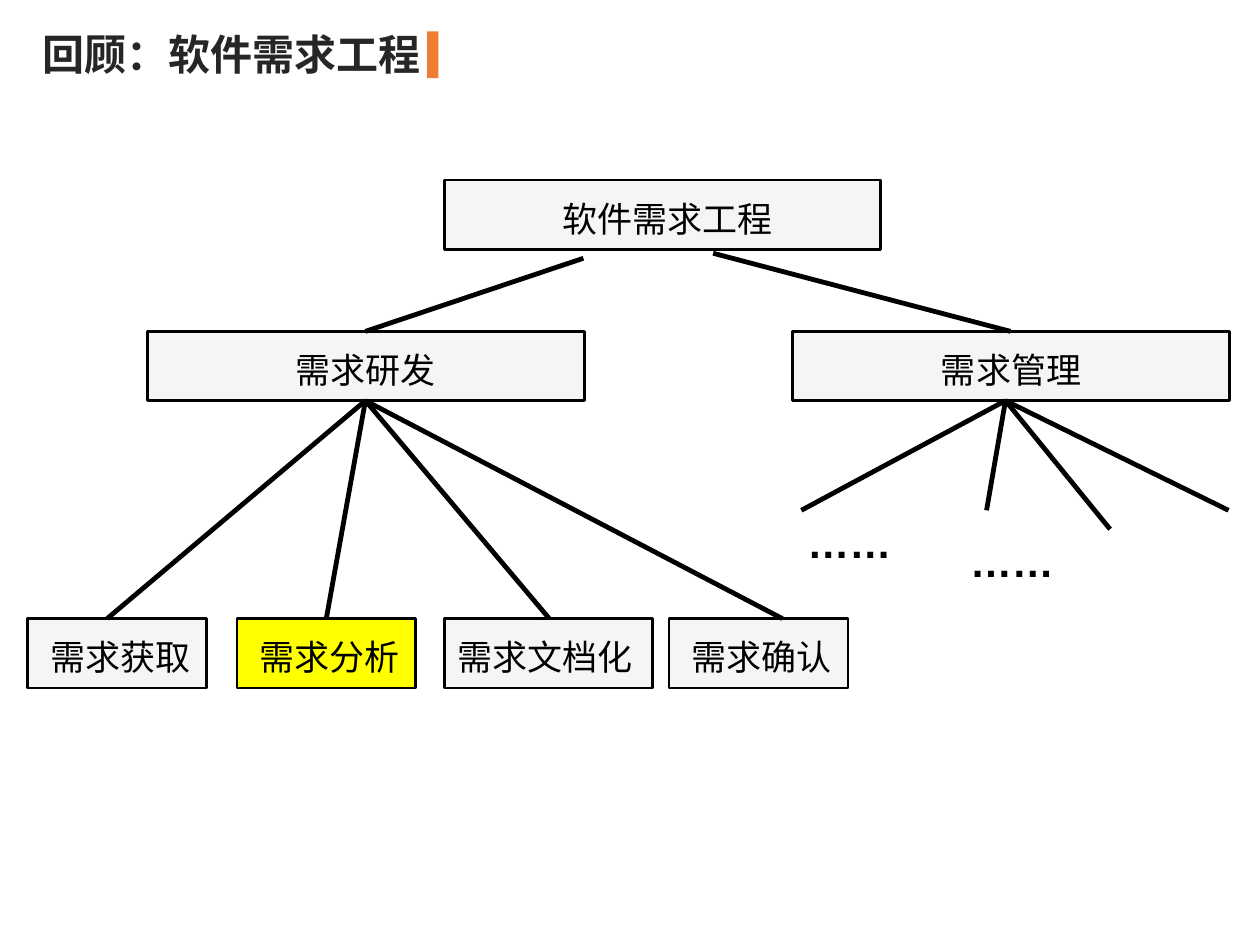
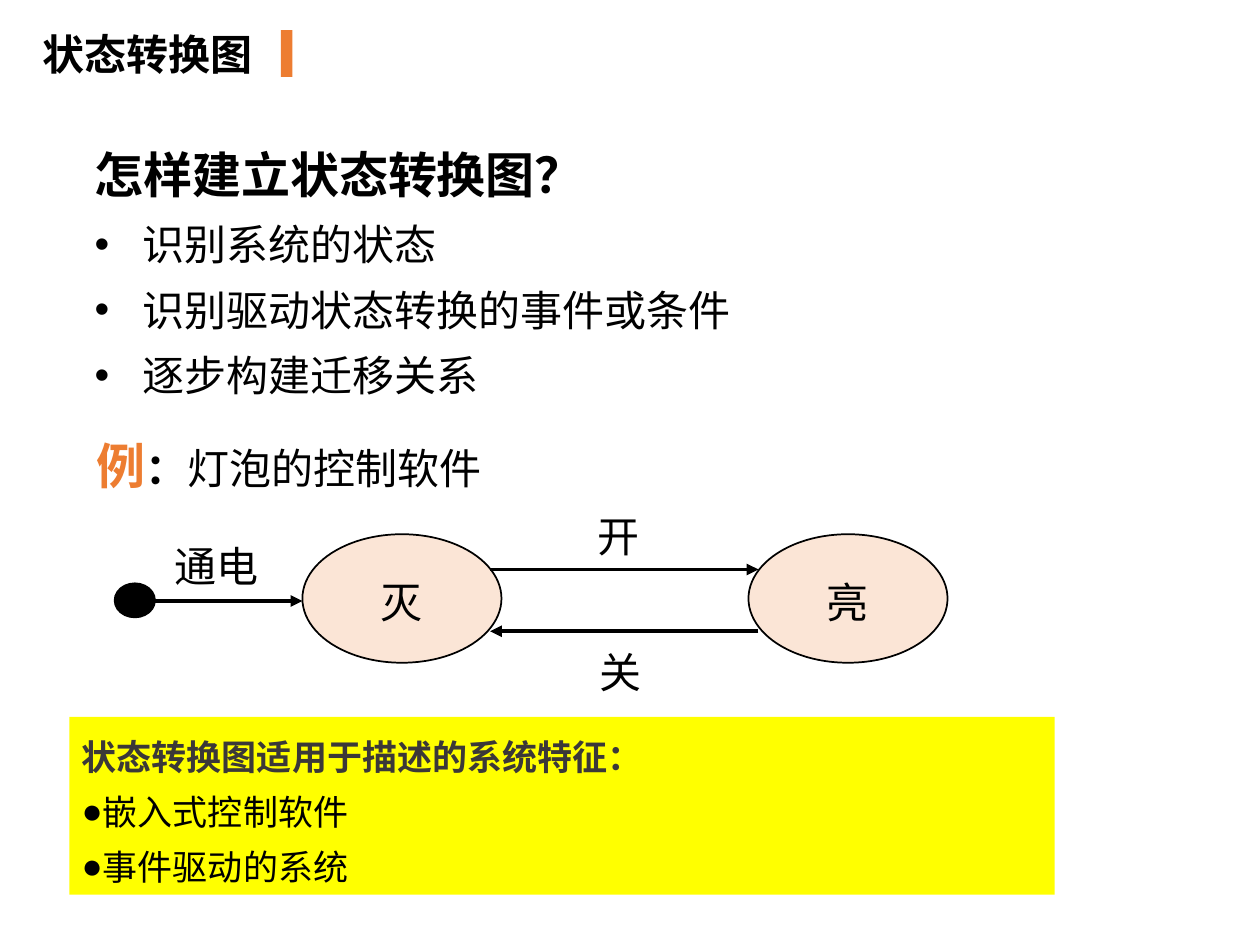
from dataclasses import dataclass
from typing import Optional

import pptx
import pptx.dml.color
import pptx.enum.shapes
import pptx.enum.text
import pptx.oxml
import pptx.oxml.ns
import pptx.util
from pptx.util import Inches

COLORS = {
    "ink": "000000",
    "title": "262626",
    "heading": "3B3838",
    "accent": "ED7D31",
    "box": "F5F5F5",
    "highlight": "FFFF00",
    "state": "FBE5D6",
}
CJK = "Noto Sans CJK SC"
SHAPES = pptx.enum.shapes.MSO_SHAPE
ALIGN = pptx.enum.text.PP_ALIGN
ANCHOR = pptx.enum.text.MSO_ANCHOR
BOX_HEIGHT = 0.55
LEAF_TOP = 4.91
BRANCH_TOP = 2.63


@dataclass
class Node:
    text: str
    left: float
    top: float
    width: float
    height: float = BOX_HEIGHT
    fill: str = "box"
    size: int = 20
    indent: float = 0.1
    align: ALIGN = ALIGN.CENTER
    kind: SHAPES = SHAPES.RECTANGLE
    line_width: float = 1.5


@dataclass
class Label:
    text: str
    left: float
    top: float
    width: float
    font: str = CJK
    bold: bool = False


@dataclass
class Edge:
    start: tuple[float, float]
    end: tuple[float, float]


def rgb(name: str) -> pptx.dml.color.RGBColor:
    return pptx.dml.color.RGBColor.from_string(COLORS[name])


def add_element(parent, tag: str, **attributes: str):
    element = pptx.oxml.parse_xml(f"<{tag} {pptx.oxml.ns.nsdecls('a')}/>")
    for name, value in attributes.items():
        element.set(name, value)
    parent.append(element)
    return element


def style_run(span, size: float, color: str = "ink", bold: bool = False, font: str = CJK) -> None:
    span.font.size = pptx.util.Pt(size)
    span.font.bold = bold
    span.font.color.rgb = rgb(color)
    span.font.name = font
    latin = span.font._element.find(pptx.oxml.ns.qn("a:latin"))
    east_asian = add_element(span.font._element, "a:ea", typeface=font)
    latin.addnext(east_asian)


def style_paragraph(para, size: float, color: str = "ink", bold: bool = False, font: str = CJK) -> None:
    for span in para.runs:
        style_run(span, size, color, bold, font)


def set_bullet(para, char: Optional[str], indent: float = 0) -> None:
    """Give the paragraph a bullet with a hanging indent, or none."""
    properties = para._p.get_or_add_pPr()
    properties.set("marL", str(Inches(indent)))
    properties.set("indent", str(-Inches(indent)))
    if char is None:
        add_element(properties, "a:buNone")
        return
    add_element(add_element(properties, "a:buClr"), "a:srgbClr", val=COLORS["ink"])
    add_element(properties, "a:buFont", typeface="Arial")
    add_element(properties, "a:buChar", char=char)


def write_list(frame, heading: str, items: list[str], char: str, indent: float,
               heading_size: int, item_size: int, heading_color: str = "ink") -> None:
    """Write a bold heading followed by bulleted items."""
    frame.word_wrap = True
    frame.auto_size = pptx.enum.text.MSO_AUTO_SIZE.NONE
    frame.vertical_anchor = ANCHOR.TOP
    frame.text = "\n".join([heading, *items])
    for index, para in enumerate(frame.paragraphs):
        first = index == 0
        set_bullet(para, None if first else char, 0 if first else indent)
        para.alignment = ALIGN.LEFT
        para.line_spacing = 1.3
        para.space_before = pptx.util.Pt(0)
        style_paragraph(para, heading_size if first else item_size,
                        heading_color if first else "ink", first)


def place(shape, left: float, top: float, width: float, height: float) -> None:
    shape.left, shape.top = Inches(left), Inches(top)
    shape.width, shape.height = Inches(width), Inches(height)


def add_filled(page, kind: SHAPES, left: float, top: float, width: float, height: float,
               fill: str, line_width: float = 0):
    shape = page.shapes.add_shape(kind, Inches(left), Inches(top), Inches(width), Inches(height))
    shape.shadow.inherit = False
    shape.fill.solid()
    shape.fill.fore_color.rgb = rgb(fill)
    if line_width:
        shape.line.color.rgb = rgb("ink")
        shape.line.width = pptx.util.Pt(line_width)
    else:
        shape.line.fill.background()
    return shape


def set_title(page, text: str, color: str, bar_left: float, bar_top: float) -> None:
    """Fill the title placeholder and set the accent bar after it."""
    title = page.shapes.title
    place(title, 0.24, 0.18, 4.52, 0.5)
    frame = title.text_frame
    frame.auto_size = pptx.enum.text.MSO_AUTO_SIZE.NONE
    frame.vertical_anchor = ANCHOR.TOP
    frame.text = text
    frame.paragraphs[0].alignment = ALIGN.LEFT
    style_paragraph(frame.paragraphs[0], 24, color, True)
    add_filled(page, SHAPES.RECTANGLE, bar_left, bar_top, 0.09, 0.37, "accent")


def add_node(page, node: Node) -> None:
    shape = add_filled(page, node.kind, node.left, node.top, node.width, node.height,
                       node.fill, node.line_width)
    frame = shape.text_frame
    frame.word_wrap = True
    frame.vertical_anchor = ANCHOR.MIDDLE
    frame.margin_left = Inches(node.indent)
    frame.margin_right = Inches(0.1 if node.align == ALIGN.CENTER else 0)
    frame.margin_top, frame.margin_bottom = Inches(0.08), Inches(0.03)
    frame.text = node.text
    frame.paragraphs[0].alignment = node.align
    style_paragraph(frame.paragraphs[0], node.size)


def add_label(page, label: Label) -> None:
    box = page.shapes.add_textbox(Inches(label.left), Inches(label.top),
                                  Inches(label.width), Inches(0.51))
    box.text_frame.word_wrap = True
    box.text_frame.text = label.text
    style_paragraph(box.text_frame.paragraphs[0], 24, bold=label.bold, font=label.font)


def add_edge(page, edge: Edge, width: float, arrow: bool = False) -> None:
    points = [Inches(value) for value in (*edge.start, *edge.end)]
    connector = page.shapes.add_connector(pptx.enum.shapes.MSO_CONNECTOR.STRAIGHT, *points)
    connector.line.color.rgb = rgb("ink")
    connector.line.width = pptx.util.Pt(width)
    if arrow:
        add_element(connector.line._get_or_add_ln(), "a:tailEnd", type="triangle")
    add_element(connector._element.spPr, "a:effectLst")


def build_requirements_tree(deck) -> None:
    page = deck.slides.add_slide(deck.slide_layouts.get_by_name("Title Only"))
    set_title(page, "回顾：软件需求工程", "title", 3.39, 0.25)

    nodes = [
        Node("软件需求工程", 3.53, 1.43, 3.46, indent=0.18),
        Node("需求研发", 1.17, BRANCH_TOP, 3.47),
        Node("需求管理", 6.29, BRANCH_TOP, 3.47),
        Node("需求获取", 0.22, LEAF_TOP, 1.42, indent=0.18, align=ALIGN.LEFT),
        Node("需求分析", 1.88, LEAF_TOP, 1.42, indent=0.18, align=ALIGN.LEFT, fill="highlight"),
        Node("需求文档化", 3.53, LEAF_TOP, 1.65, align=ALIGN.LEFT),
        Node("需求确认", 5.31, LEAF_TOP, 1.42, indent=0.18, align=ALIGN.LEFT),
    ]
    for node in nodes:
        add_node(page, node)

    branch_bottom = BRANCH_TOP + BOX_HEIGHT
    development, management = (2.9, branch_bottom), (7.98, branch_bottom)
    edges = [Edge((4.63, 2.05), (2.9, BRANCH_TOP)), Edge((5.66, 2.01), (8.02, BRANCH_TOP))]
    edges += [Edge(development, (x, LEAF_TOP)) for x in (0.85, 2.59, 4.36, 6.21)]
    edges += [Edge(management, end)
              for end in ((6.36, 4.05), (7.83, 4.05), (8.81, 4.2), (9.75, 4.05))]
    for edge in edges:
        add_edge(page, edge, 2.75)

    add_label(page, Label("……", 6.31, 4.05, 0.99, "Arial", True))
    add_label(page, Label("……", 7.6, 4.2, 1.59, "Arial", True))


def build_state_diagram(deck) -> None:
    page = deck.slides.add_slide(deck.slide_layouts.get_by_name("Title and Content"))
    set_title(page, "状态转换图", "ink", 2.23, 0.24)

    body = page.placeholders[1]
    place(body, 0.65, 0.96, 7.6, 2.29)
    write_list(body.text_frame, "怎样建立状态转换图？",
               ["识别系统的状态", "识别驱动状态转换的事件或条件", "逐步构建迁移关系"],
               "•", 0.38, 28, 24)

    example = page.shapes.add_textbox(Inches(0.67), Inches(3.41), Inches(5.81), Inches(0.57))
    example.text_frame.word_wrap = True
    para = example.text_frame.paragraphs[0]
    for text, size, color, bold in (("例", 28, "accent", True), ("：", 24, "ink", True),
                                    ("灯泡的控制软件", 24, "ink", False)):
        span = para.add_run()
        span.text = text
        style_run(span, size, color, bold)

    for text, left in (("灭", 2.4), ("亮", 5.94)):
        add_node(page, Node(text, left, 4.24, 1.58, 1.02, "state", 24,
                            kind=SHAPES.OVAL, line_width=1))
    add_filled(page, SHAPES.OVAL, 0.91, 4.63, 0.32, 0.27, "ink", 1)

    for edge in (Edge((1.23, 4.77), (2.4, 4.77)), Edge((3.89, 4.52), (6.02, 4.52)),
                 Edge((6.02, 5.01), (3.89, 5.01))):
        add_edge(page, edge, 2.25, arrow=True)
    for label in (Label("通电", 1.29, 4.24, 1.15), Label("开", 4.64, 4, 0.63),
                  Label("关", 4.66, 5.08, 0.63)):
        add_label(page, label)

    summary = add_filled(page, SHAPES.RECTANGLE, 0.55, 5.69, 7.82, 1.41, "highlight")
    write_list(summary.text_frame, "状态转换图适用于描述的系统特征：",
               ["嵌入式控制软件", "事件驱动的系统"], "●", 0, 20, 20, "heading")


def main() -> None:
    deck = pptx.Presentation()
    deck.slide_width, deck.slide_height = Inches(10), Inches(7.5)
    build_requirements_tree(deck)
    build_state_diagram(deck)
    deck.save("out.pptx")


if __name__ == "__main__":
    main()
